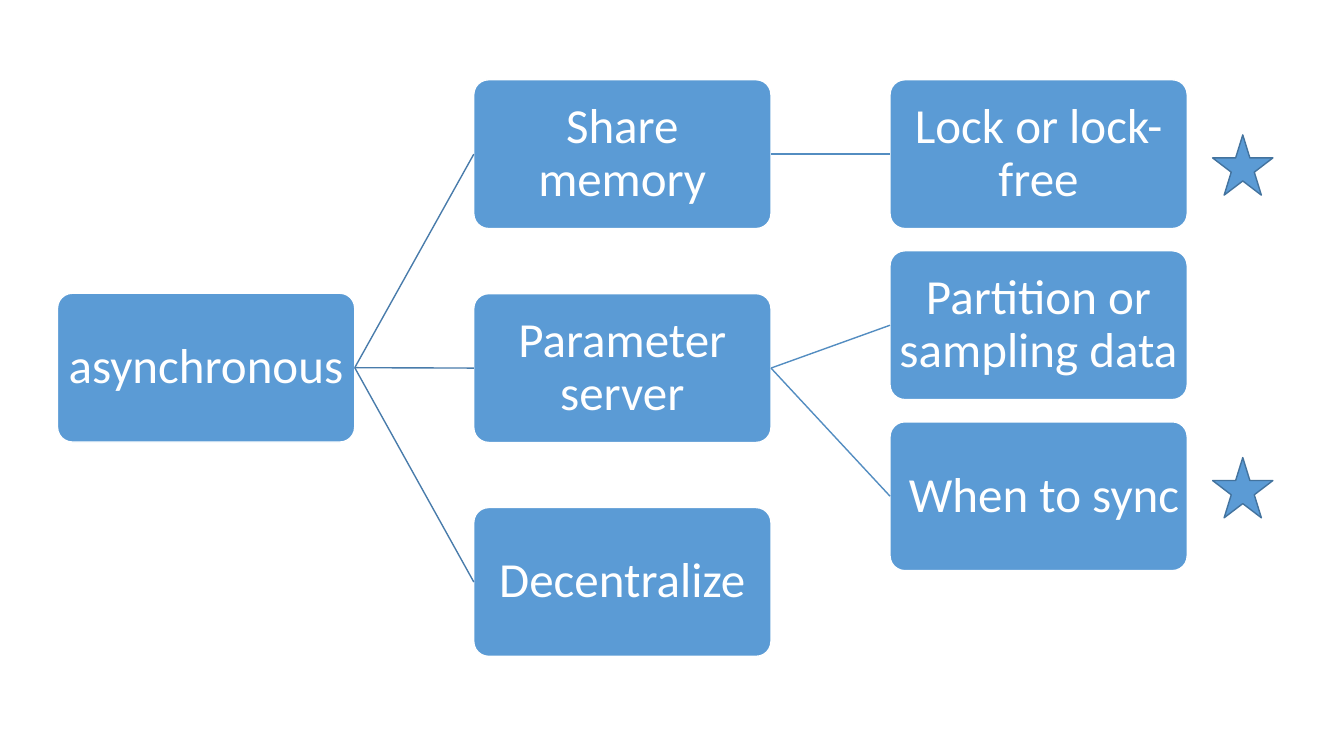
import pptx
import pptx.dml.color
import pptx.enum.shapes
import pptx.enum.text
import pptx.oxml
import pptx.oxml.ns
import pptx.util

Cm, Pt = pptx.util.Cm, pptx.util.Pt
SHAPE = pptx.enum.shapes.MSO_SHAPE
LEFT, RIGHT = 1, 3  # connection sites


class Tree:
    """Draws the boxes, links and stars of a tree on one slide."""

    font, size = "Calibri", 35
    width, height, inset = 7.49, 3.75, 0.05
    start, step = 1.45, 10.49
    colors = {"fill": "5B9BD5", "edge": "FFFFFF", "text": "FFFFFF",
              "trunk": "497CAB", "twig": "538DC1", "star": "43739E"}

    def __init__(self, slide):
        self.shapes = slide.shapes

    def color(self, name):
        return pptx.dml.color.RGBColor.from_string(self.colors[name])

    def stroke(self, line, name):
        line.color.rgb = self.color(name)
        line.width = Pt(1)

    def shape(self, kind, x, y, w, h, edge):
        item = self.shapes.add_shape(kind, Cm(x), Cm(y), Cm(w), Cm(h))
        item.shadow.inherit = False
        item.fill.solid()
        item.fill.fore_color.rgb = self.color("fill")
        self.stroke(item.line, edge)
        return item

    def box(self, text, level, y):
        x = self.start + level * self.step
        item = self.shape(SHAPE.ROUNDED_RECTANGLE, x, y,
                          self.width, self.height, "edge")
        item.adjustments[0] = 0.1
        frame = item.text_frame
        frame.word_wrap = True
        frame.vertical_anchor = pptx.enum.text.MSO_ANCHOR.MIDDLE
        frame.margin_left = frame.margin_right = Cm(self.inset)
        frame.margin_top = frame.margin_bottom = Cm(self.inset)
        frame.text = text
        para = frame.paragraphs[0]
        para.alignment = pptx.enum.text.PP_ALIGN.CENTER
        para.line_spacing = 0.9
        para.font.name = self.font
        para.font.size = Pt(self.size)
        para.font.color.rgb = self.color("text")
        return item

    def link(self, parent, child, name):
        line = self.shapes.add_connector(
            pptx.enum.shapes.MSO_CONNECTOR.STRAIGHT, 0, 0, 0, 0)
        line.begin_connect(parent, RIGHT)
        line.end_connect(child, LEFT)
        self.stroke(line.line, name)
        props = line._element.spPr
        props.append(pptx.oxml.parse_xml(
            "<a:effectLst %s/>" % pptx.oxml.ns.nsdecls("a")))

    def star(self, y):
        self.shape(SHAPE.STAR_5_POINT, 30.56, y, 1.52, 1.52, "star")


def main():
    deck = pptx.Presentation()
    deck.slide_width, deck.slide_height = Cm(33.87), Cm(19.05)
    tree = Tree(deck.slides.add_slide(deck.slide_layouts[6]))

    top, gap, leaf_gap = 2.01, 5.39, 4.31
    branches = [
        ("Share memory", ["Lock or lock-free"]),
        ("Parameter server", ["Partition or sampling data ", " When to sync"]),
        ("Decentralize", []),
    ]
    root = tree.box("asynchronous", 0, 7.39)
    leaf_y = top
    for row, (name, leaves) in enumerate(branches):
        branch = tree.box(name, 1, top + row * gap)
        tree.link(root, branch, "trunk")
        for text in leaves:
            leaf = tree.box(text, 2, leaf_y)
            tree.link(branch, leaf, "twig")
            leaf_y += leaf_gap

    for y in (3.4, 11.53):
        tree.star(y)
    deck.save("out.pptx")


if __name__ == "__main__":
    main()
